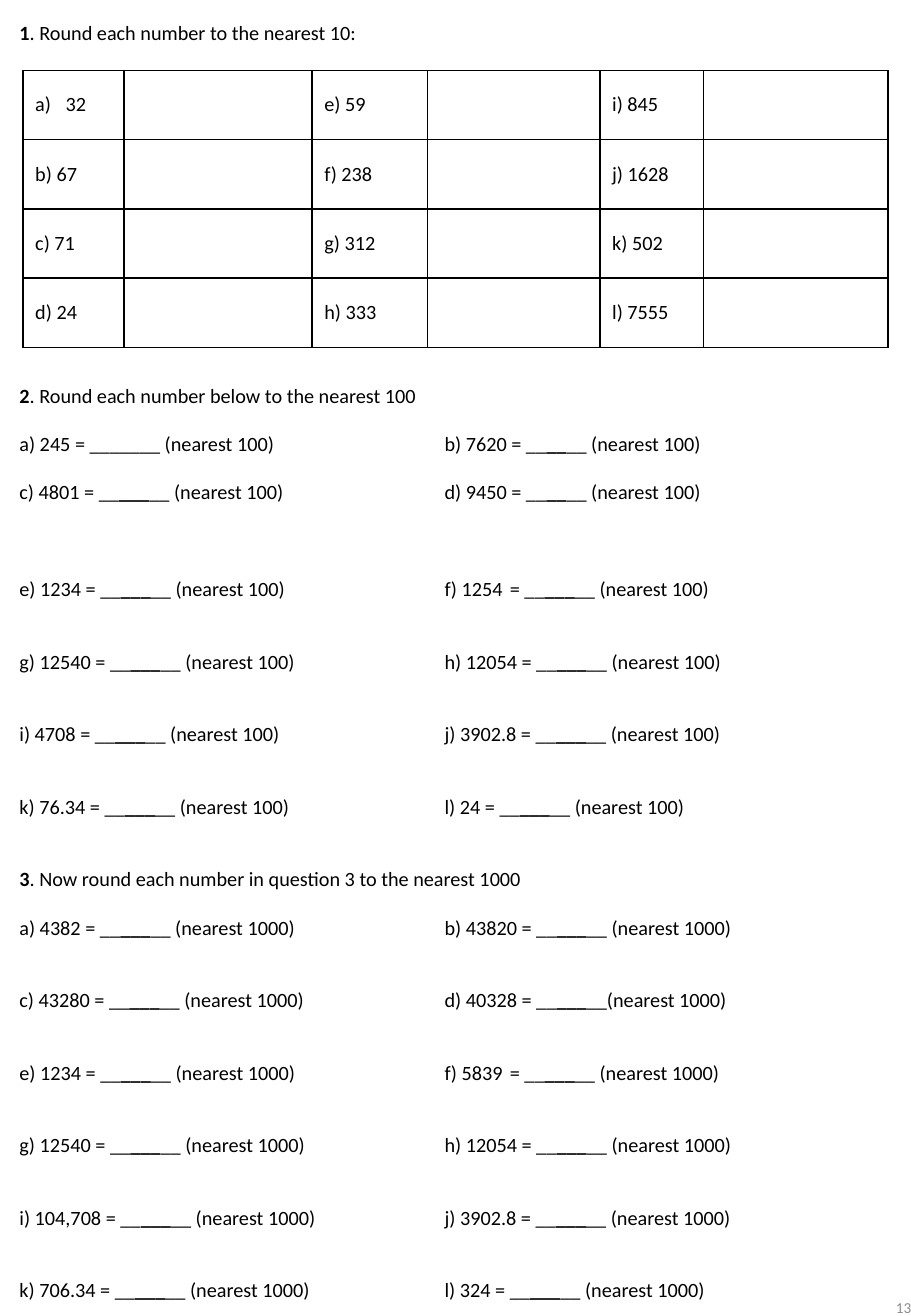
from lxml.etree import SubElement
from pptx import Presentation
from pptx.dml.color import RGBColor
from pptx.enum.text import MSO_ANCHOR, MSO_AUTO_SIZE, PP_ALIGN
from pptx.oxml import parse_xml
from pptx.oxml.ns import nsdecls, qn
from pptx.util import Emu, Pt

PX = 9144  # 100 px to the inch
PAGE_WIDTH, PAGE_HEIGHT = 750, 1083
FONT = "Calibri"
BLACK = RGBColor(0x00, 0x00, 0x00)
GREY = RGBColor(0x8C, 0x8C, 0x8C)
LINE = 14.3  # height of one text line in points
TAB_SIZE = 50
COLUMN_GAP = "\t\t\t"  # from the third inch to the second column at 350 px

# Asterisks enclose bold text
TITLE = "*1*. Round each number to the nearest 10:"
HUNDREDS_HEADING = "*2*. Round each number below to the nearest 100"
THOUSANDS_HEADING = "*3*. Now round each number in question 3 to the nearest 1000"

COLUMN_WIDTHS = (83, 155, 95, 142, 85, 152)
ROW_HEIGHT = 57
NUMBERS = (
    ("32", "e) 59", "i) 845"),
    ("b) 67", "f) 238", "j) 1628"),
    ("c) 71", "g) 312", "k) 502"),
    ("d) 24", "h) 333", "l) 7555"),
)
HUNDREDS = (
    ("a) 245", "b) 7620"),
    ("c) 4801", "d) 9450"),
    ("e) 1234", "f) 1254\t"),
    ("g) 12540", "h) 12054"),
    ("i) 4708", "j) 3902.8"),
    ("k) 76.34", "l) 24"),
)
THOUSANDS = (
    ("a) 4382", "b) 43820"),
    ("c) 43280", "d) 40328"),
    ("e) 1234", "f) 5839\t"),
    ("g) 12540", "h) 12054"),
    ("i) 104,708", "j) 3902.8"),
    ("k) 706.34", "l) 324"),
)
# Empty lines above each row of answers
HUNDREDS_GAPS = (1, 1, 3, 2, 2, 2)
THOUSANDS_GAPS = (1, 2, 2, 2, 2, 2)

BLANK = "__*___*__ "
SPECIAL_BLANKS = {
    "a) 245": "_______ ",
    "b) 7620": "__*__*__ ",
    "d) 9450": "__*__*__ ",
    "d) 40328": "__*___*__",
}


def px(length):
    return Emu(length * PX)


def place(box, left, top, width, height):
    box.left, box.top = px(left), px(top)
    box.width, box.height = px(width), px(height)


def set_font(para, size=12, colour=BLACK):
    para.font.name = FONT
    para.font.size = Pt(size)
    para.font.color.rgb = colour


def write(para, text):
    """Fill a paragraph, with bold between asterisks."""
    for number, part in enumerate(text.split("*")):
        if part:
            span = para.add_run()
            span.text = part
            span.font.bold = number % 2 == 1


def answer(label, unit):
    blank = SPECIAL_BLANKS.get(label, BLANK)
    return f"{label} = {blank}(nearest {unit})"


def add_title(page):
    box = page.shapes.title
    place(box, 6, 12, 700, 30)
    frame = box.text_frame
    frame.auto_size = MSO_AUTO_SIZE.NONE
    frame.vertical_anchor = MSO_ANCHOR.TOP
    para = frame.paragraphs[0]
    write(para, TITLE)
    para.alignment = PP_ALIGN.LEFT
    set_font(para)


def add_question(box, bounds, heading, rows, gaps, unit):
    place(box, *bounds)
    frame = box.text_frame
    frame.auto_size = MSO_AUTO_SIZE.NONE
    lines = [heading]
    lines += [COLUMN_GAP.join(answer(label, unit) for label in row) for row in rows]
    for number, (line, gap) in enumerate(zip(lines, (0, *gaps))):
        para = frame.add_paragraph() if number else frame.paragraphs[0]
        write(para, line)
        properties = para._p.get_or_add_pPr()
        properties.set("marL", "0")
        properties.set("indent", "0")
        properties.set("defTabSz", str(px(TAB_SIZE)))
        SubElement(properties, qn("a:buNone"))
        para.space_before = Pt(gap * LINE)
        set_font(para)


def set_borders(cell):
    properties = cell._tc.get_or_add_tcPr()
    for index, side in enumerate(("lnL", "lnR", "lnT", "lnB")):
        border = parse_xml(
            f'<a:{side} {nsdecls("a")} w="{Pt(1)}"><a:solidFill>'
            f'<a:srgbClr val="{BLACK}"/></a:solidFill></a:{side}>'
        )
        properties.insert(index, border)


def add_number_table(page):
    shape = page.shapes.add_table(
        len(NUMBERS), len(COLUMN_WIDTHS), px(19), px(58),
        px(sum(COLUMN_WIDTHS)), px(ROW_HEIGHT * len(NUMBERS)))
    table = shape.table
    table.first_row = table.horz_banding = False
    for column, width in zip(table.columns, COLUMN_WIDTHS):
        column.width = px(width)
    for row in table.rows:
        row.height = px(ROW_HEIGHT)
    for cell in table.iter_cells():
        cell.fill.background()
        cell.vertical_anchor = MSO_ANCHOR.MIDDLE
        set_borders(cell)
    # Every second column stays empty for the answers
    for row, labels in enumerate(NUMBERS):
        for number, label in enumerate(labels):
            para = table.cell(row, 2 * number).text_frame.paragraphs[0]
            write(para, label)
            if row == number == 0:
                properties = para._p.get_or_add_pPr()
                properties.set("marL", str(px(25)))
                properties.set("indent", str(px(-25)))
                SubElement(properties, qn("a:buAutoNum"), type="alphaLcParenR")
            set_font(para)


def add_page_number(page):
    box = page.shapes.add_textbox(px(591), px(1047), px(169), px(58))
    frame = box.text_frame
    frame.word_wrap = True
    frame.vertical_anchor = MSO_ANCHOR.MIDDLE
    para = frame.paragraphs[0]
    write(para, "13")
    para.alignment = PP_ALIGN.RIGHT
    set_font(para, 9, GREY)


def main():
    deck = Presentation()
    deck.slide_width, deck.slide_height = px(PAGE_WIDTH), px(PAGE_HEIGHT)
    page = deck.slides.add_slide(deck.slide_layouts.get_by_name("Two Content"))

    # Question 1: title and table
    add_title(page)
    add_number_table(page)

    # Questions 2 and 3: one body placeholder each
    add_question(page.placeholders[1], (6, 310, 712, 371),
                 HUNDREDS_HEADING, HUNDREDS, HUNDREDS_GAPS, 100)
    add_question(page.placeholders[2], (6, 708, 744, 375),
                 THOUSANDS_HEADING, THOUSANDS, THOUSANDS_GAPS, 1000)

    add_page_number(page)
    deck.save("out.pptx")


if __name__ == "__main__":
    main()
